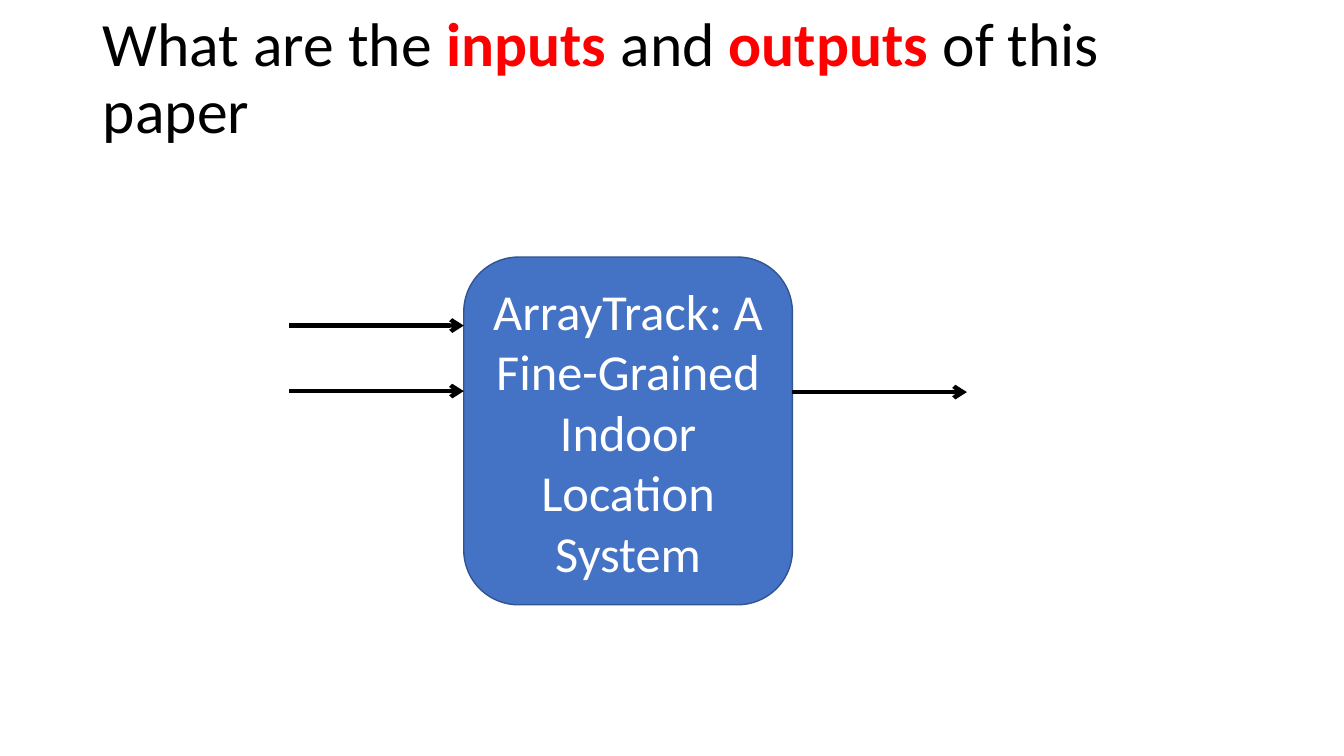
"""Build a slide asking for the inputs and outputs of a paper."""
from lxml.etree import SubElement
from pptx import Presentation
from pptx.dml.color import RGBColor
from pptx.enum.shapes import MSO_CONNECTOR as Connector, MSO_SHAPE as Shape
from pptx.enum.text import MSO_ANCHOR as Anchor, MSO_AUTO_SIZE as AutoSize, PP_ALIGN as Align
from pptx.oxml.ns import qn
from pptx.util import Inches, Pt

BLACK, RED, WHITE = "000000", "FF0000", "FFFFFF"
BLUE, DARK_BLUE = "4472C4", "325491"

TITLE = [
    ("What are the ", False),
    ("inputs", True),
    (" and ", False),
    ("outputs", True),
    (" of this paper", False),
]
SYSTEM = "ArrayTrack: A Fine-Grained Indoor Location System"
LEFT, TOP, WIDTH, HEIGHT = 4.6, 2.55, 3.26, 3.45
ARROW_LENGTH = 1.73
INPUT_HEIGHTS = [3.23, 3.88]
OUTPUT_HEIGHTS = [3.89]


def color(value):
    return RGBColor.from_string(value)


def add_text(para, text, size, fill, bold=False):
    span = para.add_run()
    span.text = text
    span.font.name = "Calibri"
    span.font.size = Pt(size)
    span.font.bold = bold
    span.font.color.rgb = color(fill)


def add_arrow(page, left, height):
    arrow = page.shapes.add_connector(
        Connector.STRAIGHT, Inches(left), Inches(height),
        Inches(left + ARROW_LENGTH), Inches(height))
    arrow.line.color.rgb = color(BLACK)
    arrow.line.width = Pt(3)
    SubElement(arrow.line._get_or_add_ln(), qn("a:tailEnd"), type="arrow")
    SubElement(arrow._element.spPr, qn("a:effectLst"))


def add_title(page):
    title = page.shapes.title
    title.left, title.top = Inches(0.92), Inches(0.4)
    title.width, title.height = Inches(11.5), Inches(1.45)
    frame = title.text_frame
    frame.auto_size = AutoSize.NONE
    frame.word_wrap = True
    frame.vertical_anchor = Anchor.MIDDLE
    frame.margin_bottom = Inches(0.71)
    para = frame.paragraphs[0]
    para.alignment = Align.LEFT
    para.line_spacing = 0.9
    for text, strong in TITLE:
        add_text(para, text, 44, RED if strong else BLACK, bold=strong)


def add_system(page):
    box = page.shapes.add_shape(
        Shape.ROUNDED_RECTANGLE, Inches(LEFT), Inches(TOP), Inches(WIDTH), Inches(HEIGHT))
    box.shadow.inherit = False
    box.fill.solid()
    box.fill.fore_color.rgb = color(BLUE)
    box.line.color.rgb = color(DARK_BLUE)
    box.line.width = Pt(1)
    frame = box.text_frame
    frame.word_wrap = True
    frame.vertical_anchor = Anchor.MIDDLE
    para = frame.paragraphs[0]
    para.alignment = Align.CENTER
    add_text(para, SYSTEM, 36, WHITE)


deck = Presentation()
deck.slide_width, deck.slide_height = Inches(13.33), Inches(7.5)
page = deck.slides.add_slide(deck.slide_layouts.get_by_name("Title Only"))
add_title(page)
add_system(page)
for left, heights in [(LEFT - ARROW_LENGTH, INPUT_HEIGHTS), (LEFT + WIDTH, OUTPUT_HEIGHTS)]:
    for height in heights:
        add_arrow(page, left, height)
deck.save("out.pptx")
